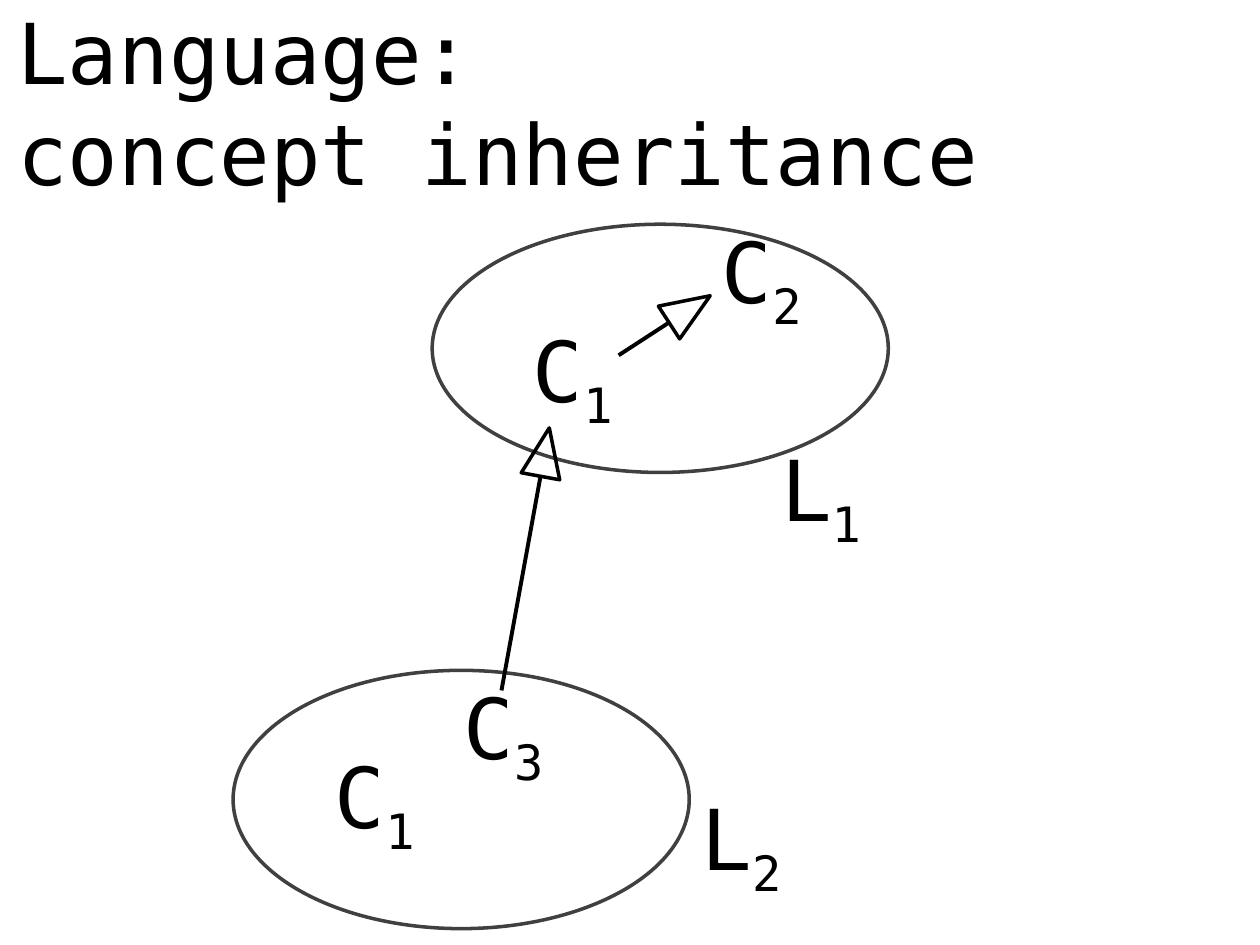
import math

import lxml.etree
import pptx
import pptx.dml.color
import pptx.enum.shapes
import pptx.enum.text
import pptx.oxml.ns
import pptx.util

# Content: places are in grid units, left/top/width/height
COLUMNS, ROWS = 100, 75
COLOURS = {"text": "000000", "ellipse": "404040", "arrow": "000000"}
HEADING = ["Language: ", "concept inheritance"]
HEADING_AREA = (0.4, 0, 84.3, 16.1)

LANGUAGES = [(34.3, 17.8, 36.2, 19.7), (18.5, 53.2, 36.2, 20.5)]
LABEL_SIZE = (11.8, 16.1)
LABELS = [
    ("C", "1", 41.3, 21.8),
    ("C", "2", 56.3, 13.9),
    ("L", "2", 54.7, 58.9),
    ("L", "1", 61, 31.2),
    ("C", "1", 25.6, 55.6),
    ("C", "3", 35.8, 50.1),
]
# Inheritance arrows: tail, base of the head, grouped or not
INHERITANCES = [
    ((49.1, 28.2), (53.1, 25.6), True),
    ((39.8, 54.8), (42.9, 37.8), False),
]
HEAD_WIDTH, HEAD_HEIGHT = 3.1, 3.9
FONT = {"name": "DejaVu Sans Mono", "size": pptx.util.Pt(48)}

deck = pptx.Presentation()
deck.slide_width = pptx.util.Inches(10)
deck.slide_height = pptx.util.Inches(7.5)
slide = deck.slides.add_slide(deck.slide_layouts[6])
SHAPES = pptx.enum.shapes.MSO_SHAPE


def place(*lengths):
    """Turn alternating horizontal and vertical grid lengths into EMU."""
    units = (deck.slide_width / COLUMNS, deck.slide_height / ROWS)
    return [round(length * units[i % 2]) for i, length in enumerate(lengths)]


def colour(part):
    return pptx.dml.color.RGBColor.from_string(COLOURS[part])


def add_text(area, lines, subscript=None):
    frame = slide.shapes.add_textbox(*place(*area)).text_frame
    settings = {
        "word_wrap": True,
        "auto_size": pptx.enum.text.MSO_AUTO_SIZE.NONE,
        "vertical_anchor": pptx.enum.text.MSO_ANCHOR.MIDDLE,
    }
    for name, value in settings.items():
        setattr(frame, name, value)
    paragraph = frame.paragraphs[0]
    paragraph.text = "\v".join(lines)
    if subscript:
        lowered = paragraph.add_run()
        lowered.text = subscript
        lowered.font._element.set("baseline", "-25000")
    for run in paragraph.runs:
        for name, value in FONT.items():
            setattr(run.font, name, value)
        run.font.color.rgb = colour("text")


def add_outline(shapes, kind, area, part):
    outline = shapes.add_shape(kind, *place(*area))
    outline.shadow.inherit = False
    outline.fill.background()
    outline.line.color.rgb = colour(part)
    outline.line.width = pptx.util.Pt(2)
    return outline


def add_inheritance(tail, base, grouped):
    shapes = slide.shapes.add_group_shape().shapes if grouped else slide.shapes
    # The head continues the shaft, so its centre and turn follow from it
    angle = math.atan2(base[0] - tail[0], tail[1] - base[1])
    centre_x = base[0] + math.sin(angle) * HEAD_HEIGHT / 2
    centre_y = base[1] - math.cos(angle) * HEAD_HEIGHT / 2
    area = (centre_x - HEAD_WIDTH / 2, centre_y - HEAD_HEIGHT / 2,
            HEAD_WIDTH, HEAD_HEIGHT)
    head = add_outline(shapes, SHAPES.ISOSCELES_TRIANGLE, area, "arrow")
    head.rotation = math.degrees(angle)
    shaft = shapes.add_connector(
        pptx.enum.shapes.MSO_CONNECTOR.STRAIGHT, *place(*base, *tail))
    shaft.line.color.rgb = colour("arrow")
    shaft.line.width = pptx.util.Pt(2.25)
    lxml.etree.SubElement(shaft._element.spPr, pptx.oxml.ns.qn("a:effectLst"))


# Heading
add_text(HEADING_AREA, HEADING)

# Languages and their concepts
for language in LANGUAGES:
    add_outline(slide.shapes, SHAPES.OVAL, language, "ellipse")
for letter, index, left, top in LABELS:
    add_text((left, top, *LABEL_SIZE), [letter], index)

# Inheritance between concepts
for inheritance in INHERITANCES:
    add_inheritance(*inheritance)

deck.save("out.pptx")
